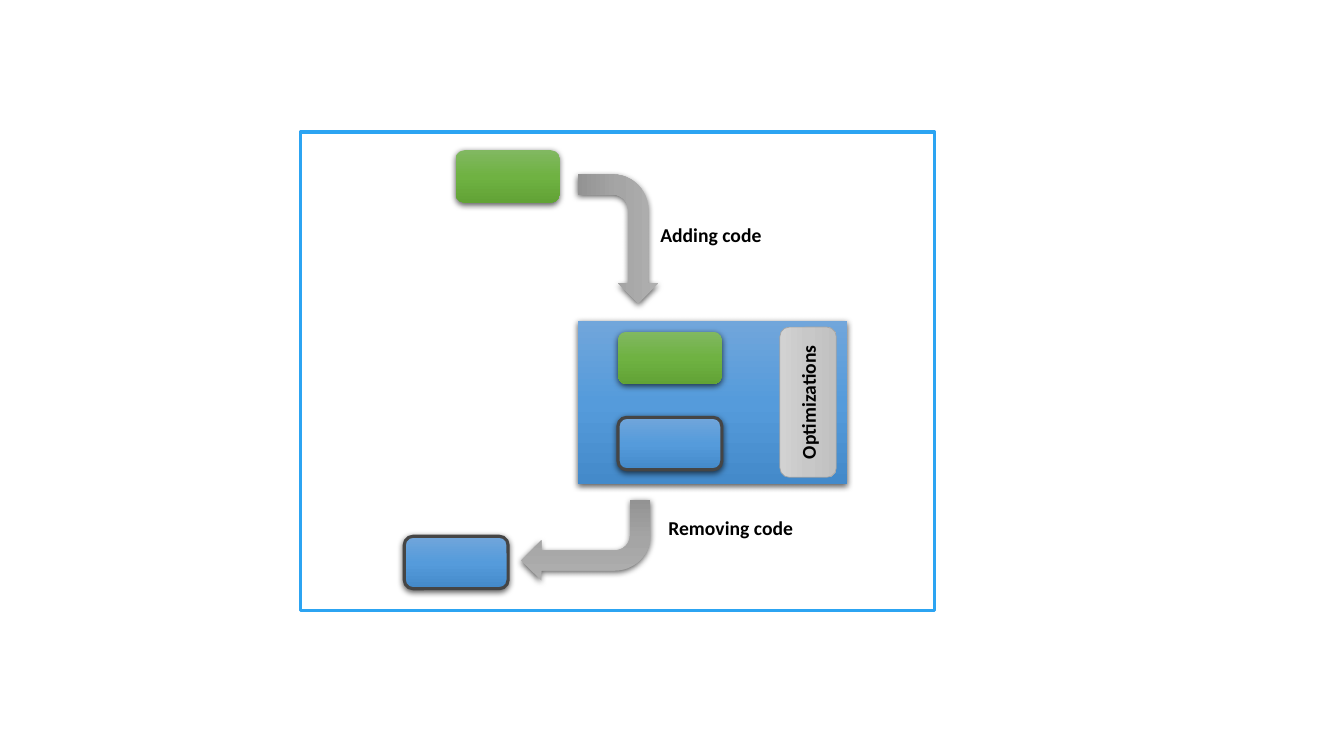
from dataclasses import dataclass

from lxml.etree import SubElement
from pptx import Presentation
from pptx.dml.color import RGBColor
from pptx.enum.shapes import MSO_SHAPE
from pptx.enum.text import MSO_ANCHOR, MSO_AUTO_SIZE, PP_ALIGN
from pptx.oxml.ns import qn
from pptx.shapes.autoshape import Shape
from pptx.slide import Slide
from pptx.text.text import TextFrame
from pptx.util import Inches, Pt

BLUE = ("71A6DB", "559BDB", "448ACA")
GREEN = ("81B861", "6FB242", "62A336")
GRAY = ("AFAFAF", "A5A5A5", "939393")
SILVER = ("D2D2D2", "C8C8C8", "C0C0C0")
BLOCK_SIZE = (1.03, 0.52)
ARROW_SIZE = (1.28, 0.8)


@dataclass(frozen=True)
class Box:
    """A filled shape of the diagram, in inches and points."""

    kind: MSO_SHAPE
    position: tuple[float, float]
    size: tuple[float, float]
    fill: tuple[str, ...]
    line: str = ""
    line_width: float = 2.25
    rotation: float = 0
    shadow: bool = True
    text: str = ""


@dataclass(frozen=True)
class Label:
    """A free text beside an arrow, in inches."""

    text: str
    position: tuple[float, float]
    size: tuple[float, float]


def added_block(left: float, top: float) -> Box:
    """Describe a block of added code."""
    return Box(MSO_SHAPE.ROUNDED_RECTANGLE, (left, top), BLOCK_SIZE, GREEN)


def removed_block(left: float, top: float) -> Box:
    """Describe a block of removed code."""
    return Box(MSO_SHAPE.ROUNDED_RECTANGLE, (left, top), BLOCK_SIZE, BLUE, "454545")


def bent_arrow(left: float, top: float, rotation: float) -> Box:
    """Describe a gray bent arrow."""
    return Box(MSO_SHAPE.BENT_ARROW, (left, top), ARROW_SIZE, GRAY, rotation=rotation)


BOXES = (
    Box(MSO_SHAPE.RECTANGLE, (2.98, 1.31), (6.29, 4.75), ("FFFFFF",), "2CA4F2", shadow=False),
    Box(MSO_SHAPE.RECTANGLE, (5.73, 3.18), (2.67, 1.62), BLUE),
    bent_arrow(5.49, 1.97, 90),
    bent_arrow(5.17, 4.96, 180),
    added_block(4.52, 1.49),
    added_block(6.13, 3.29),
    removed_block(6.13, 4.14),
    Box(MSO_SHAPE.ROUNDED_RECTANGLE, (7.27, 3.71), (1.49, 0.56), SILVER, "A5A5A5", 0.5,
        rotation=270, shadow=False, text="Optimizations"),
    removed_block(4.01, 5.32),
)
LABELS = (
    Label("Adding code", (6.45, 2.16), (1.21, 0.34)),
    Label("Removing code", (6.53, 5.07), (1.45, 0.34)),
)


def color(value: str) -> RGBColor:
    """Turn a hex string into a colour."""
    return RGBColor.from_string(value)


def fill_shape(shape: Shape, colors: tuple[str, ...]) -> None:
    """Fill with one colour or with an even gradient from top to bottom."""
    if len(colors) == 1:
        shape.fill.solid()
        shape.fill.fore_color.rgb = color(colors[0])
        return
    shape.fill.gradient()
    shape.fill.gradient_angle = 270
    stops = shape._element.spPr.find(qn("a:gradFill")).find(qn("a:gsLst"))
    for stop in list(stops):
        stops.remove(stop)
    for index, value in enumerate(colors):
        position = 100000 * index // (len(colors) - 1)
        stop = SubElement(stops, qn("a:gs"), pos=str(position))
        SubElement(stop, qn("a:srgbClr"), val=value)


def add_shadow(shape: Shape) -> None:
    """Add a soft black shadow below the shape."""
    effects = shape._element.spPr.find(qn("a:effectLst"))
    shadow = SubElement(effects, qn("a:outerShdw"), blurRad=str(Pt(4.5)),
                        dist=str(Pt(1.5)), dir="5400000", algn="ctr", rotWithShape="0")
    shadow_color = SubElement(shadow, qn("a:srgbClr"), val="000000")
    SubElement(shadow_color, qn("a:alpha"), val="63000")


def write_text(frame: TextFrame, text: str, alignment: PP_ALIGN) -> None:
    """Write one bold black line."""
    frame.text = text
    paragraph = frame.paragraphs[0]
    paragraph.alignment = alignment
    font = paragraph.font
    font.name, font.size, font.bold = "Calibri", Pt(14), True
    font.color.rgb = color("000000")


def draw_box(slide: Slide, box: Box) -> None:
    """Draw one filled shape."""
    shape = slide.shapes.add_shape(box.kind, *map(Inches, box.position + box.size))
    shape.rotation = box.rotation
    shape.shadow.inherit = False
    fill_shape(shape, box.fill)
    if box.line:
        shape.line.color.rgb = color(box.line)
        shape.line.width = Pt(box.line_width)
    else:
        shape.line.fill.background()
    if box.shadow:
        add_shadow(shape)
    if box.text:
        shape.text_frame.vertical_anchor = MSO_ANCHOR.MIDDLE
        write_text(shape.text_frame, box.text, PP_ALIGN.CENTER)


def draw_label(slide: Slide, label: Label) -> None:
    """Draw one free text."""
    frame = slide.shapes.add_textbox(*map(Inches, label.position + label.size)).text_frame
    frame.word_wrap = False
    frame.auto_size = MSO_AUTO_SIZE.SHAPE_TO_FIT_TEXT
    write_text(frame, label.text, PP_ALIGN.LEFT)


def main() -> None:
    """Build and save the slide."""
    presentation = Presentation()
    presentation.slide_width, presentation.slide_height = Inches(13.33), Inches(7.5)
    slide = presentation.slides.add_slide(presentation.slide_layouts[6])
    for box in BOXES:
        draw_box(slide, box)
    for label in LABELS:
        draw_label(slide, label)
    presentation.save("out.pptx")


main()
